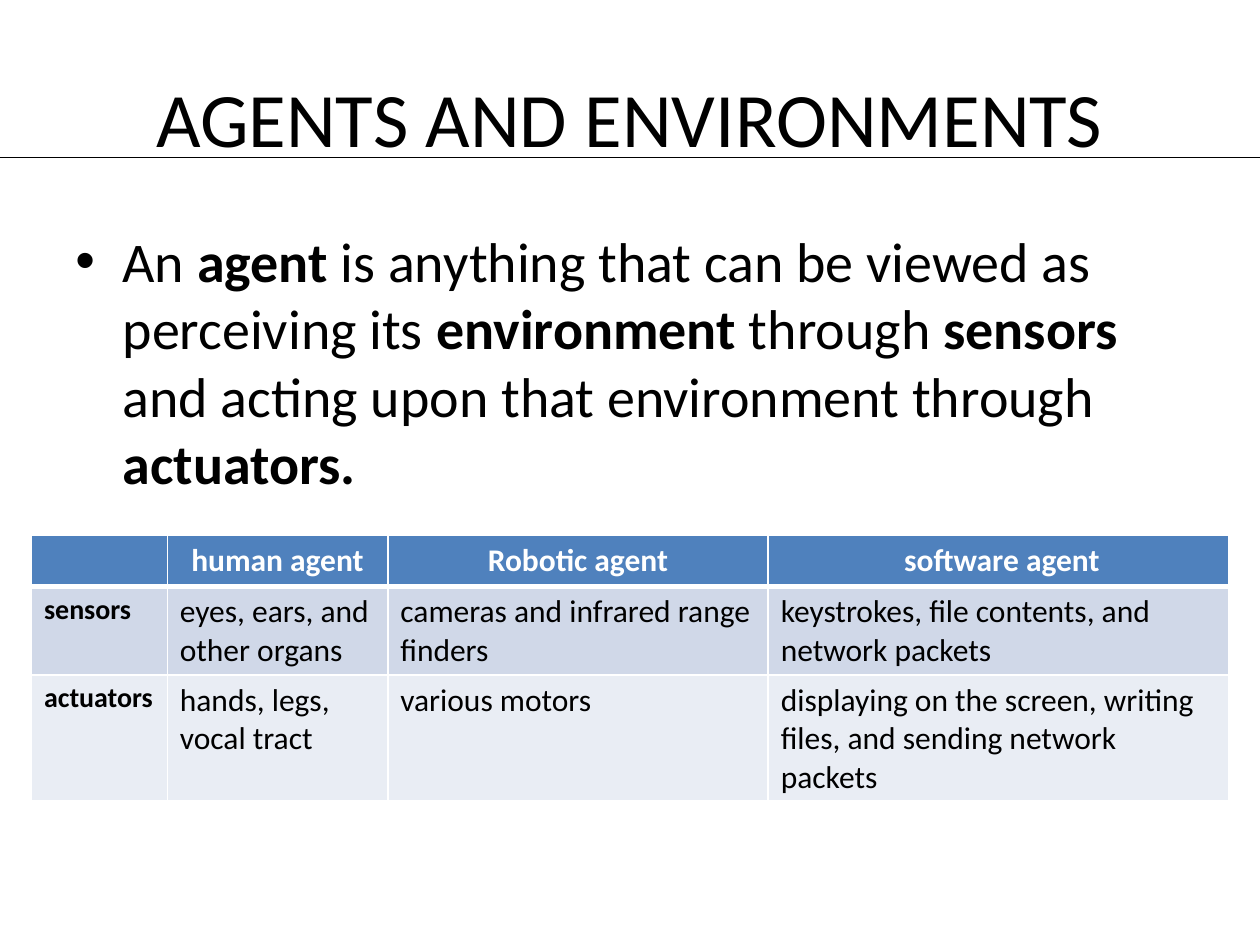
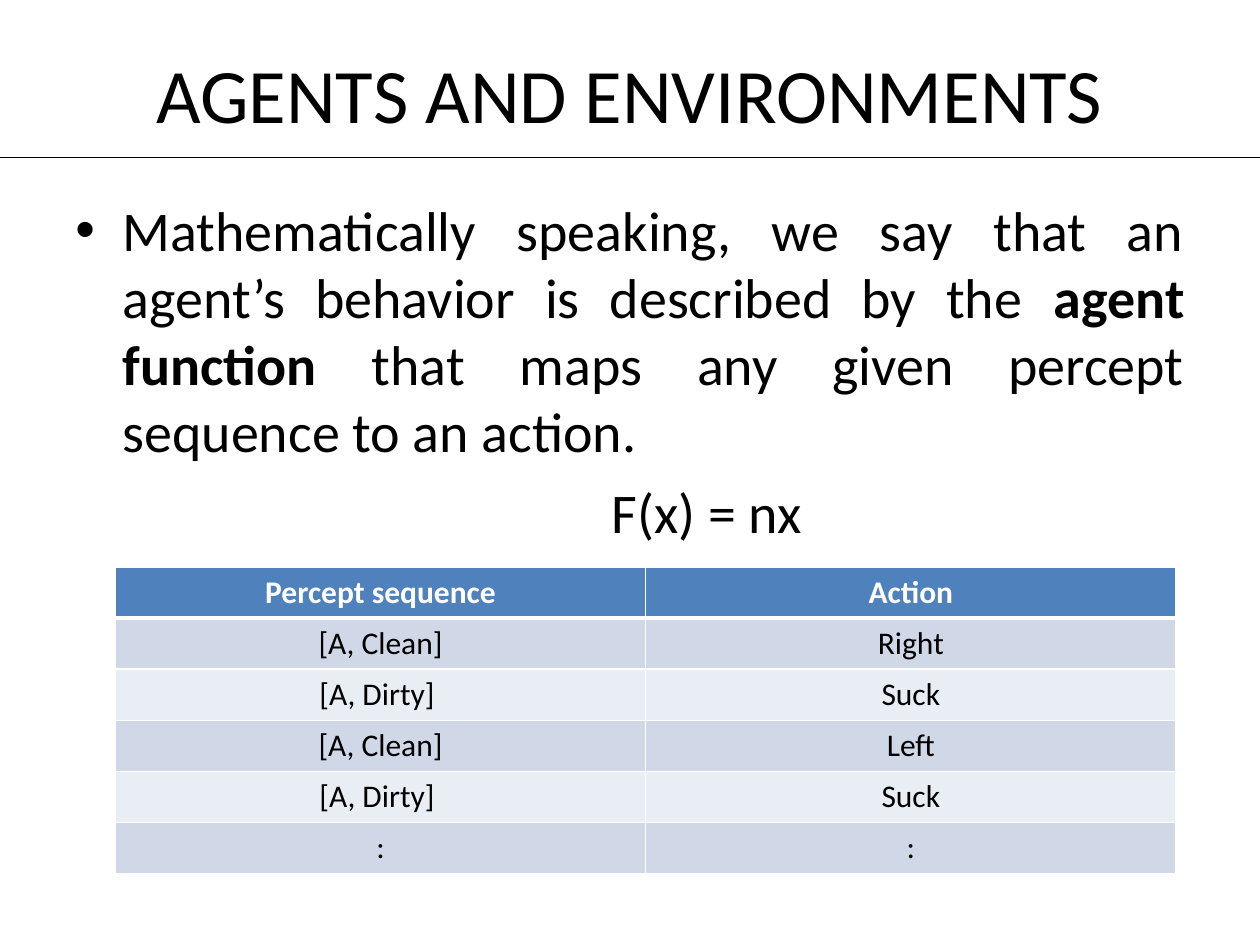
from lxml.etree import SubElement
from pptx import Presentation
from pptx.dml.color import RGBColor
from pptx.enum.shapes import MSO_CONNECTOR
from pptx.enum.text import MSO_ANCHOR, PP_ALIGN
from pptx.oxml.ns import qn
from pptx.util import Pt

COLORS = {"ink": "000000", "paper": "FFFFFF", "header": "4F81BD",
          "odd row": "D0D8E8", "even row": "E9EDF4"}
TITLE = "AGENTS AND ENVIRONMENTS"
SLIDE_WIDTH = 720
ROW_HEIGHT = 29.2


def write(paragraph, runs, size, color="ink", align=PP_ALIGN.LEFT):
    """Add (text, bold) runs to a paragraph."""
    paragraph.alignment = align
    for text, bold in runs:
        run = paragraph.add_run()
        run.text = text
        for name, value in {"name": "Calibri", "size": Pt(size), "bold": bold}.items():
            setattr(run.font, name, value)
        run.font.color.rgb = RGBColor.from_string(COLORS[color])


def add_border(cell, side, width):
    """Draw one white side of a table cell; call before filling the cell."""
    line = SubElement(cell._tc.get_or_add_tcPr(), qn(f"a:ln{side}"), w=str(Pt(width)))
    fill = SubElement(line, qn("a:solidFill"))
    SubElement(fill, qn("a:srgbClr"), val=COLORS["paper"])


# Content of the two slides
pages = [
    {
        "title height": 90,
        "body": (126, 168),
        "align": PP_ALIGN.LEFT,
        "statement": [
            ("An ", False), ("agent", True),
            (" is anything that can be viewed as perceiving its ", False),
            ("environment", True), (" through ", False), ("sensors", True),
            (" and acting upon that environment through ", False),
            ("actuators.", True)],
        "formula": None,
        "table at": (18, 306),
        "columns": [77.6, 126, 217.4, 263],
        "row labels": True,
        "rows": [
            ["", "human agent", "Robotic agent", " software agent"],
            ["sensors", "eyes, ears, and other organs",
             "cameras and infrared range finders",
             "keystrokes, file contents, and network packets"],
            ["actuators", "hands, legs, vocal tract", "various motors",
             "displaying on the screen, writing files, and sending network packets"]],
    },
    {
        "title height": 62.6,
        "body": (108, 210),
        "align": PP_ALIGN.JUSTIFY,
        "statement": [
            ("Mathematically speaking, we say that an agent’s behavior is "
             "described by the ", False),
            ("agent function", True),
            (" that maps any given percept sequence to an action.", False)],
        "formula": "F(x) = nx",
        "table at": (66, 324),
        "columns": [303, 303],
        "row labels": False,
        "rows": [
            ["Percept sequence", "Action"],
            ["[A, Clean]", "Right"],
            ["[A, Dirty] ", "Suck"],
            ["[A, Clean]", "Left"],
            ["[A, Dirty] ", "Suck"],
            [":", ":"]],
    },
]

deck = Presentation()
deck.slide_width, deck.slide_height = Pt(SLIDE_WIDTH), Pt(540)

for page in pages:
    slide = deck.slides.add_slide(deck.slide_layouts[6])

    # Title
    title = slide.shapes.add_textbox(Pt(36), Pt(21.6), Pt(648), Pt(page["title height"])).text_frame
    title.word_wrap = True
    title.vertical_anchor = MSO_ANCHOR.MIDDLE
    write(title.paragraphs[0], [(TITLE, False)], 44, align=PP_ALIGN.CENTER)

    # Bulleted statement
    top, height = page["body"]
    body = slide.shapes.add_textbox(Pt(36), Pt(top), Pt(648), Pt(height)).text_frame
    body.word_wrap = True
    statement = body.paragraphs[0]
    write(statement, page["statement"], 32, align=page["align"])
    bullet = statement._p.get_or_add_pPr()
    bullet.set("marL", str(Pt(27)))
    bullet.set("indent", str(Pt(-27)))
    SubElement(bullet, qn("a:buFont"), typeface="Arial")
    SubElement(bullet, qn("a:buChar"), char="•")

    # Formula, indented under the statement
    if page["formula"]:
        formula = body.add_paragraph()
        formula.space_before = Pt(7.5)
        write(formula, [(page["formula"], False)], 32)
        formula._p.get_or_add_pPr().set("marL", str(Pt(306.5)))

    # Table
    rows, columns = page["rows"], page["columns"]
    left, top = page["table at"]
    table = slide.shapes.add_table(
        len(rows), len(columns), Pt(left), Pt(top),
        Pt(sum(columns)), Pt(ROW_HEIGHT * len(rows))).table
    for column, width in zip(table.columns, columns):
        column.width = Pt(width)
    for r, texts in enumerate(rows):
        table.rows[r].height = Pt(ROW_HEIGHT)
        is_header = r == 0
        band = "header" if is_header else "odd row" if r % 2 else "even row"
        for c, text in enumerate(texts):
            cell = table.cell(r, c)
            is_label = page["row labels"] and c == 0 and not is_header
            for side in "LRTB":
                thick = (is_header and side == "B") or (r == 1 and side == "T")
                add_border(cell, side, 3 if thick else 1)
            cell.fill.solid()
            cell.fill.fore_color.rgb = RGBColor.from_string(COLORS[band])
            if text:
                centered = is_header or not page["row labels"]
                write(cell.text_frame.paragraphs[0], [(text, is_header or is_label)],
                      16 if is_label else 18, "paper" if is_header else "ink",
                      PP_ALIGN.CENTER if centered else PP_ALIGN.LEFT)

    # Rule under the title
    rule = slide.shapes.add_connector(MSO_CONNECTOR.STRAIGHT, Pt(0), Pt(90), Pt(SLIDE_WIDTH), Pt(90))
    rule.line.width = Pt(0.75)
    rule.line.color.rgb = RGBColor.from_string(COLORS["ink"])
    SubElement(rule._element.spPr, qn("a:effectLst"))

deck.save("out.pptx")
